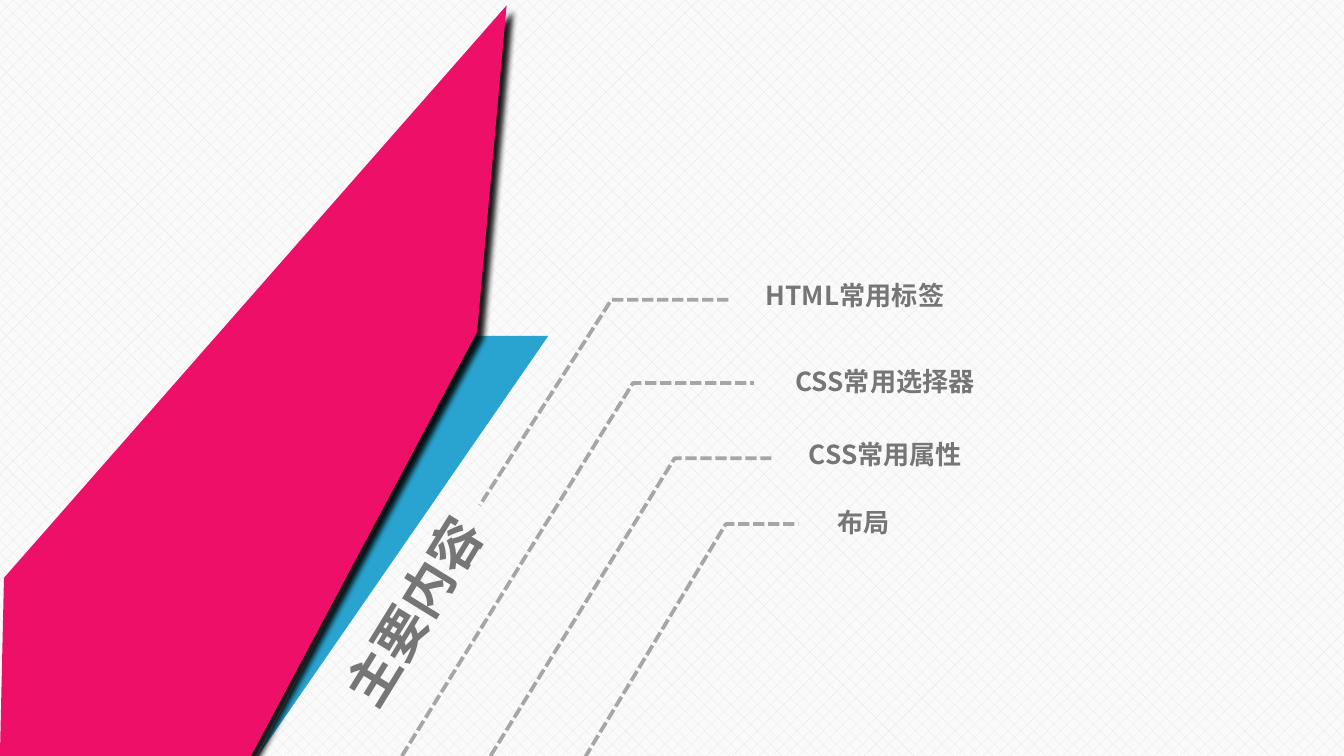
from lxml import etree
from pptx import Presentation
from pptx.dml.color import RGBColor
from pptx.enum import dml, text
from pptx.oxml import ns
from pptx.util import Emu, Pt

PX = 4572  # EMU per px, 200 px to the inch
FONT = "Noto Sans CJK SC"
GREY, DASH_GREY = "767676", "A6A6A6"
PINK, BLUE = "EE0F68", "29A4D0"


def px(length):
    return Emu(length * PX)


def color(hex_string):
    return RGBColor.from_string(hex_string)


class SlideBuilder:
    def __init__(self, presentation):
        self.slide = presentation.slides.add_slide(presentation.slide_layouts[6])

    def background(self, foreground, back):
        fill = self.slide.background.fill
        fill.patterned()
        fill.pattern = dml.MSO_PATTERN.PERCENT_30
        fill.fore_color.rgb = color(foreground)
        fill.back_color.rgb = color(back)

    def outline(self, points, close):
        builder = self.slide.shapes.build_freeform(*points[0], scale=PX)
        builder.add_line_segments(points[1:], close=close)
        shape = builder.convert_to_shape()
        shape.shadow.inherit = False
        return shape

    def polygon(self, points, fill):
        shape = self.outline(points, True)
        shape.fill.solid()
        shape.fill.fore_color.rgb = color(fill)
        shape.line.fill.background()
        return shape

    def dashed_path(self, points):
        shape = self.outline(points, False)
        shape.fill.background()
        shape.line.color.rgb = color(DASH_GREY)
        shape.line.width = Pt(2)
        shape.line.dash_style = dml.MSO_LINE.SQUARE_DOT

    def drop_shadow(self, shape):
        effects = shape._element.spPr.find(ns.qn("a:effectLst"))
        shadow = etree.SubElement(
            effects, ns.qn("a:outerShdw"), blurRad=str(Pt(3)), dist=str(Pt(5)),
            dir=str(45 * 60000), algn="tl", rotWithShape="0")
        black = etree.SubElement(shadow, ns.qn("a:srgbClr"), val="000000")
        etree.SubElement(black, ns.qn("a:alpha"), val="90000")

    def label(self, words, left, top, width, height, size=14,
              align=text.PP_ALIGN.LEFT, rotation=0):
        shape = self.slide.shapes.add_textbox(px(left), px(top), px(width), px(height))
        shape.rotation = rotation
        frame = shape.text_frame
        frame.word_wrap = True
        frame.auto_size = text.MSO_AUTO_SIZE.SHAPE_TO_FIT_TEXT
        paragraph = frame.paragraphs[0]
        paragraph.alignment = align
        run = paragraph.add_run()
        run.text = words
        run.font.size = Pt(size)
        run.font.bold = True
        run.font.name = FONT
        run.font.color.rgb = color(GREY)
        etree.SubElement(run._r.get_or_add_rPr(), ns.qn("a:ea"), typeface=FONT)


def main():
    presentation = Presentation()
    presentation.slide_width, presentation.slide_height = px(2000), px(1125)
    builder = SlideBuilder(presentation)
    builder.background("E6E6E6", "FAFAFA")

    builder.polygon([(816, 500), (382, 1128), (708, 500)], BLUE)
    ribbon = builder.polygon(
        [(0, 1125), (372, 1128), (710, 494), (754, 8), (6, 860)], PINK)
    builder.drop_shadow(ribbon)

    builder.label("主要内容", 412, 852, 406, 114, size=28,
                  align=text.PP_ALIGN.CENTER, rotation=301.6)

    # words, label left, top, width, then the path's points
    topics = [
        ("HTML常用标签", 1120, 406, 446, [(1084, 446), (910, 446), (714, 752)]),
        ("CSS常用选择器", 1164, 534, 340, [(598, 1125), (942, 570), (1122, 570)]),
        ("CSS常用属性", 1184, 642, 426, [(730, 1125), (1004, 682), (1148, 682)]),
        ("布局", 1226, 744, 340, [(870, 1128), (1080, 780), (1188, 780)]),
    ]
    for words, left, top, width, path_points in topics:
        builder.dashed_path(path_points)
        builder.label(words, left, top, width, 68)

    presentation.save("out.pptx")


if __name__ == "__main__":
    main()
